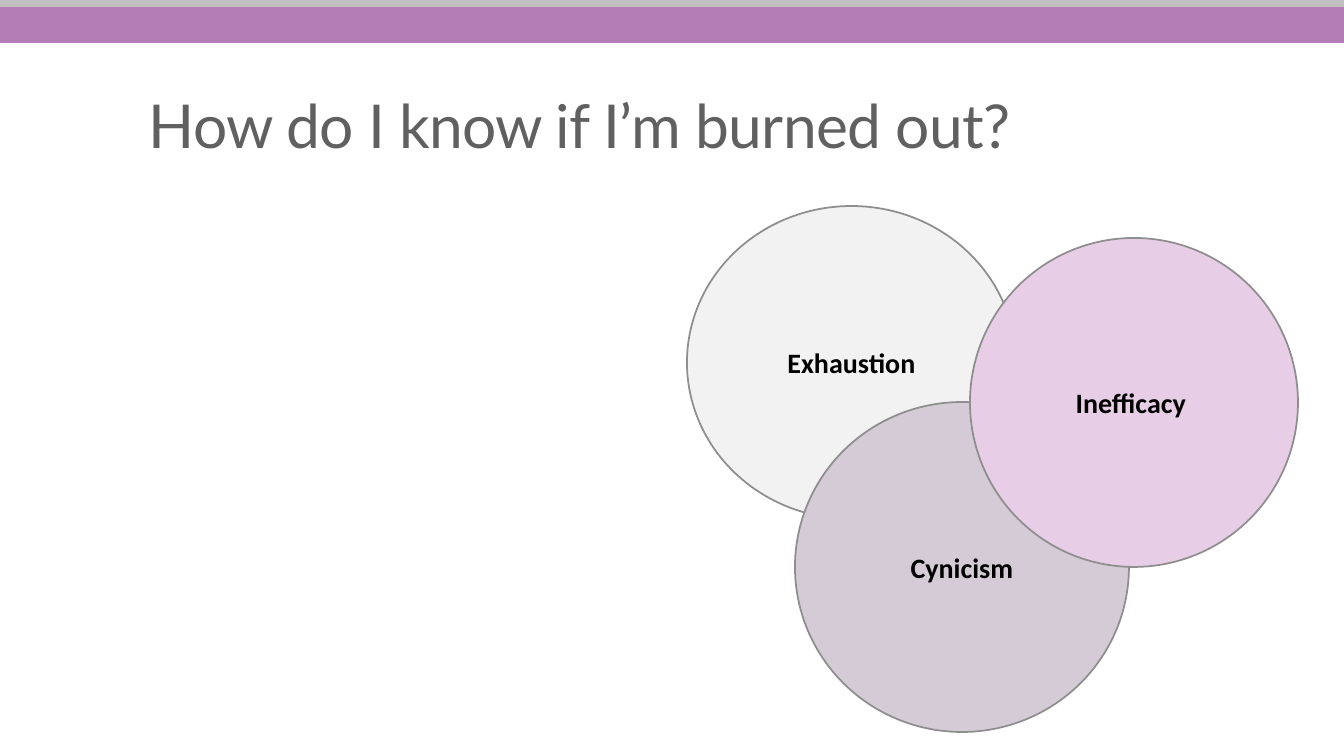
from pptx import Presentation
from pptx.dml.color import RGBColor
from pptx.enum.shapes import MSO_SHAPE
from pptx.enum.text import MSO_ANCHOR, PP_ALIGN
from pptx.util import Pt

EMU_PER_PX = 914400 / 100.8


class Theme:
    purple = "B27EB5"
    silver = "C0C0C0"
    title = "606060"
    label = "000000"
    outline = "8E8E8E"
    exhaustion = "F2F2F2"
    cynicism = "D5CBD7"
    inefficacy = "E8CDE7"
    title_size = 43.2
    label_size = 20
    outline_width = 1.25


def px(*lengths):
    return [round(length * EMU_PER_PX) for length in lengths]


def write_text(shape, text, *, font, size, color, bold=False,
               anchor=MSO_ANCHOR.MIDDLE, line_spacing=None, tracking=None):
    """Fill a shape with one centred line; tracking is in hundredths of a point."""
    frame = shape.text_frame
    frame.word_wrap = True
    frame.vertical_anchor = anchor
    paragraph = frame.paragraphs[0]
    paragraph.alignment = PP_ALIGN.CENTER
    paragraph.line_spacing = line_spacing
    run = paragraph.add_run()
    run.text = text
    run.font.name = font
    run.font.size = Pt(size)
    run.font.bold = bold
    run.font.color.rgb = RGBColor.from_string(color)
    if tracking is not None:
        run.font._element.set("spc", str(tracking))


presentation = Presentation()
presentation.slide_width, presentation.slide_height = px(1344, 756)
slide = presentation.slides.add_slide(presentation.slide_layouts[6])

# Header bands
for top, height, color in [(6, 37, Theme.purple), (-1, 8, Theme.silver)]:
    band = slide.shapes.add_shape(MSO_SHAPE.RECTANGLE, *px(0, top, 1344, height))
    band.shadow.inherit = False
    band.fill.solid()
    band.fill.fore_color.rgb = RGBColor.from_string(color)
    band.line.fill.background()

# Title
title = slide.shapes.add_textbox(*px(25, 78, 1109, 88))
write_text(title, "How do I know if I’m burned out?", font="Lato",
           size=Theme.title_size, color=Theme.title, anchor=MSO_ANCHOR.BOTTOM,
           line_spacing=0.85, tracking=-50)

# Overlapping signs of burnout, from back to front
signs = [
    ("Exhaustion", (687, 206, 329, 313), Theme.exhaustion),
    ("Cynicism", (795, 402, 334, 330), Theme.cynicism),
    ("Inefficacy ", (970, 238, 328, 329), Theme.inefficacy),
]
for name, bounds, color in signs:
    circle = slide.shapes.add_shape(MSO_SHAPE.OVAL, *px(*bounds))
    circle.shadow.inherit = False
    circle.fill.solid()
    circle.fill.fore_color.rgb = RGBColor.from_string(color)
    circle.line.color.rgb = RGBColor.from_string(Theme.outline)
    circle.line.width = Pt(Theme.outline_width)
    write_text(circle, name, font="Calibri", size=Theme.label_size,
               color=Theme.label, bold=True)

presentation.save("out.pptx")
